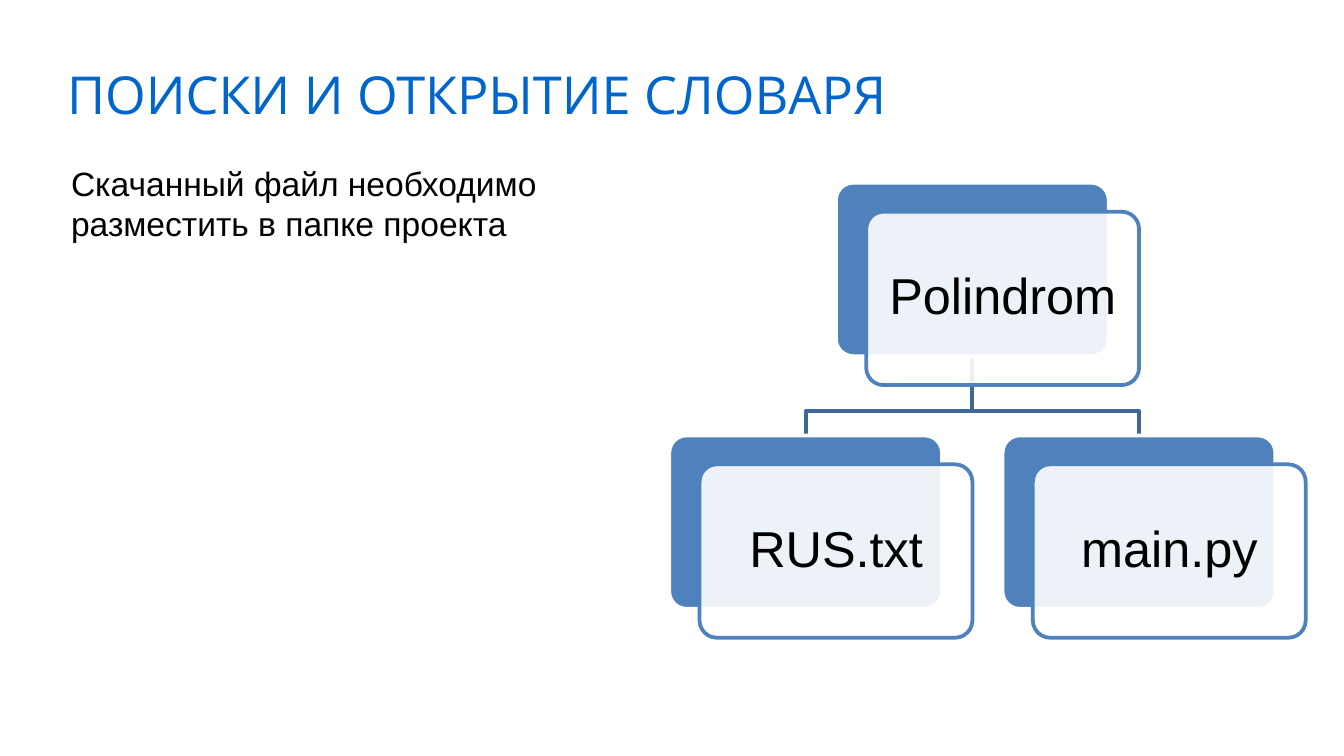
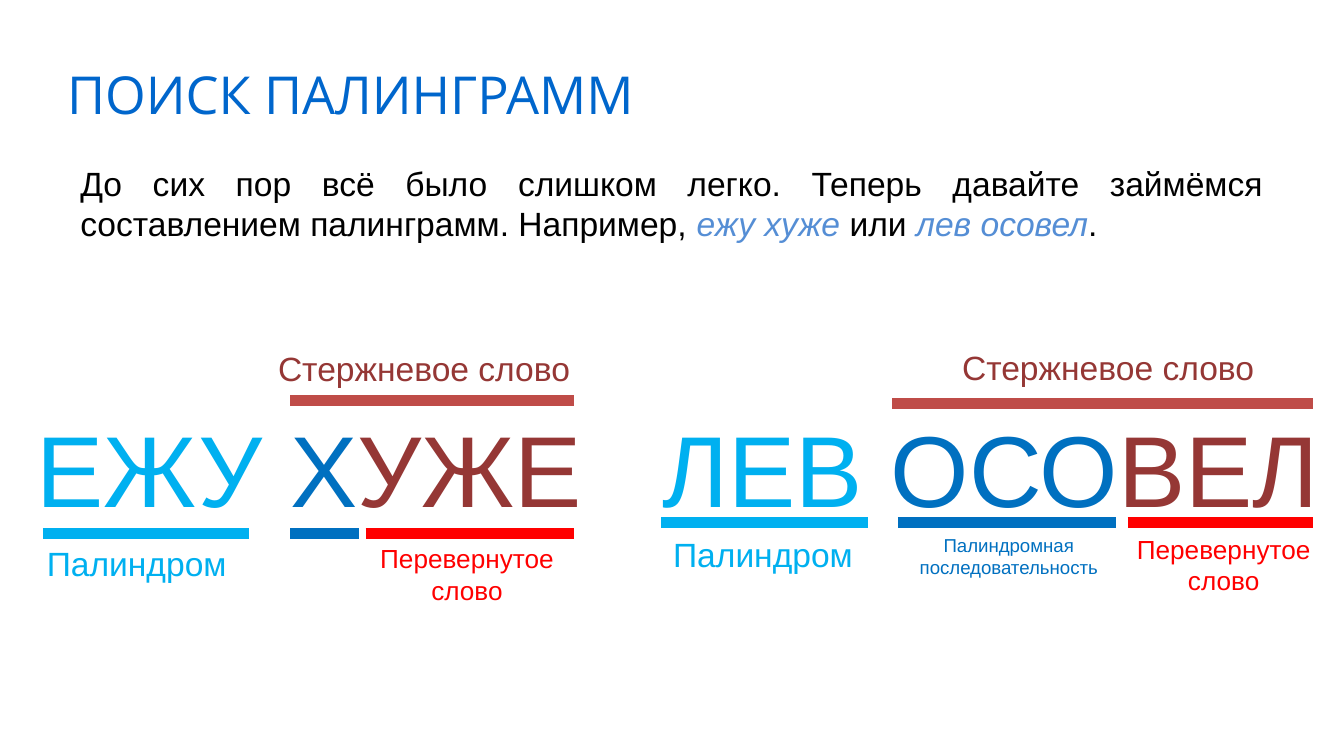
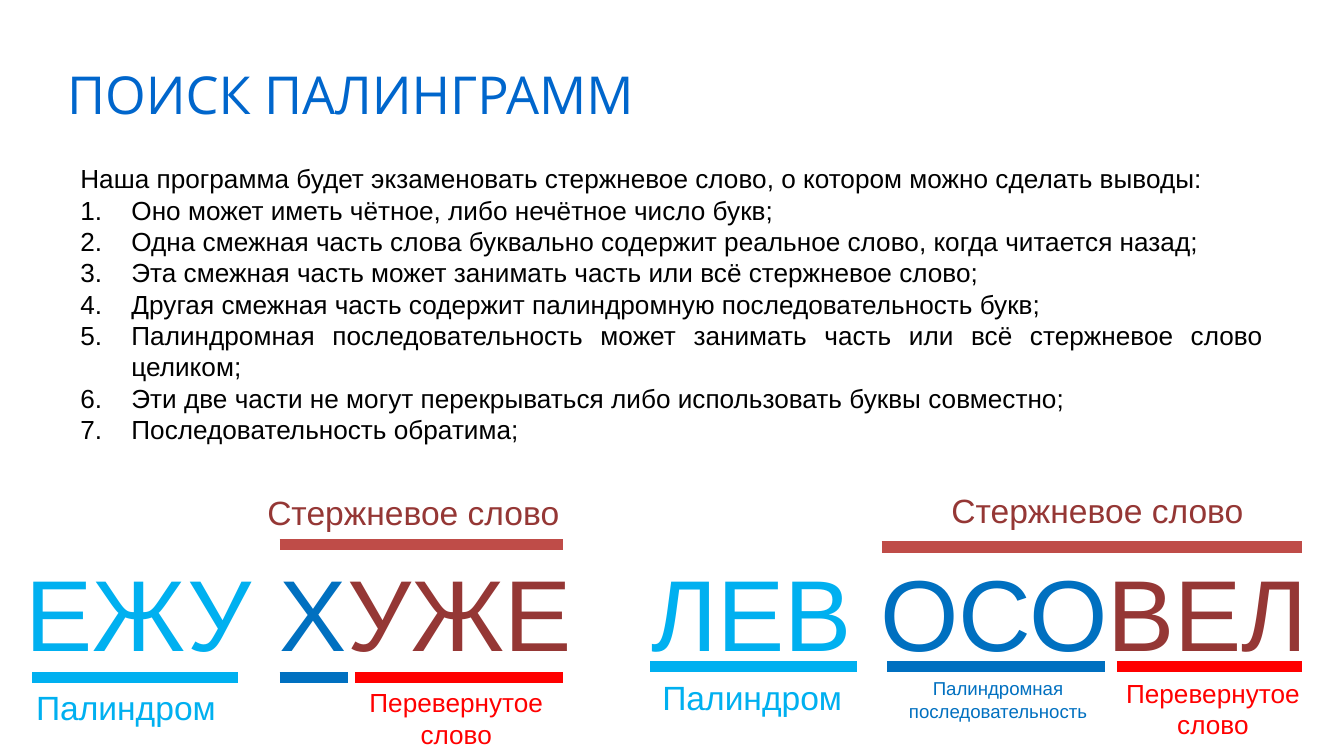
"""Build three slides on opening a dictionary and finding palingrams."""
from lxml.etree import SubElement as Sub
from pptx import Presentation
from pptx.dml.color import RGBColor as RGB
from pptx.enum.shapes import MSO_CONNECTOR as Link, MSO_SHAPE as Kind
from pptx.enum.text import MSO_ANCHOR as Anchor, MSO_AUTO_SIZE as Fit, PP_ALIGN as Align
from pptx.oxml.ns import qn
from pptx.util import Inches as In, Pt

BLACK = RGB(0x00, 0x00, 0x00)
WHITE = RGB(0xFF, 0xFF, 0xFF)
TITLE = RGB(0x00, 0x66, 0xCC)
BOX = RGB(0x4F, 0x81, 0xBD)
STEM = RGB(0x3F, 0x67, 0x97)
QUOTE = RGB(0x55, 0x8E, 0xD5)
SKY = RGB(0x00, 0xB0, 0xF0)
BLUE = RGB(0x00, 0x70, 0xC0)
WINE = RGB(0x95, 0x37, 0x35)
BRICK = RGB(0xBF, 0x4C, 0x48)
RED = RGB(0xFF, 0x00, 0x00)

WIDE = 10
HIGH = WIDE * 9 / 16
EDGE, TOP = 0.5, 1.16
FULL = WIDE - 2 * EDGE

HEADS = ["ПОИСКИ И ОТКРЫТИЕ СЛОВАРЯ", "ПОИСК ПАЛИНГРАММ", "ПОИСК ПАЛИНГРАММ"]
PLACE = "Скачанный файл необходимо разместить в папке проекта"
NODES = [("Polindrom", 0.5, 0), ("RUS.txt", 0, 1), ("main.py", 1, 1)]
INTRO = [
    ("До сих пор всё было слишком легко. Теперь давайте займёмся "
     "составлением палинграмм. Например, ", BLACK, False),
    ("ежу хуже ", QUOTE, True),
    ("или ", BLACK, False),
    ("лев осовел", QUOTE, True),
    (".", BLACK, False),
]
LEAD = "Наша программа будет экзаменовать стержневое слово, о котором можно сделать выводы:"
FACTS = [
    "Оно может иметь чётное, либо нечётное число букв;",
    "Одна смежная часть слова буквально содержит реальное слово, когда читается назад;",
    "Эта смежная часть может занимать часть или всё стержневое слово;",
    "Другая смежная часть содержит палиндромную последовательность букв;",
    "Палиндромная последовательность может занимать часть или всё стержневое слово целиком;",
    "Эти две части не могут перекрываться либо использовать буквы совместно;",
    "Последовательность обратима;",
]
CORE = ("Стержневое слово", WINE, 18, 2.49, 0.4, Align.LEFT)
PAL = ("Палиндром", SKY, 18, 1.61, 0.4, Align.LEFT)
BACK = ("Перевернутое слово", RED, 14, 1.61, 0.57, Align.CENTER)
CHAIN = ("Палиндромная последовательность", BLUE, 10, 1.61, 0.44, Align.CENTER)
WORDS = [
    dict(left=0, wide=5, parts=("ЕЖУ ", "Х", "УЖЕ"),
         bars=[(1.99, 4.1, 0, BRICK), (2.55, 4.1, 0.99, RED),
               (1.99, 2.5, 0.99, BLUE), (0.15, 1.68, 0.99, SKY)],
         tags=[(1.8, -0.44, CORE), (0.08, 1.01, PAL), (2.5, 1.01, BACK)]),
    dict(left=4.66, wide=5.17, parts=("ЛЕВ ", "ОСО", "ВЕЛ"),
         bars=[(8.22, 9.6, 0.91, RED), (6.51, 8.13, 0.91, BLUE),
               (4.75, 6.29, 0.91, SKY), (6.47, 9.6, 0.02, BRICK)],
         tags=[(6.89, -0.45, CORE), (4.74, 0.94, PAL),
               (8.13, 0.94, BACK), (6.53, 0.94, CHAIN)]),
]
SPOTS = [(0.17, 2.98), (0.09, 4.05)]

TREE = dict(left=4.98, top=1.36, col=2.48, row=1.88, wide=2.03, high=1.29, pad=0.04)


def put(para, text, size, ink, slant=False, face="Arial"):
    run = para.add_run()
    run.text = text
    run.font.name, run.font.size = face, Pt(size)
    run.font.color.rgb, run.font.italic = ink, slant


def area(slide, x, y, w, h, inset=None, align=Align.LEFT):
    frame = slide.shapes.add_textbox(In(x), In(y), In(w), In(h)).text_frame
    frame.word_wrap = True
    frame.paragraphs[0].alignment = align
    if inset is None:
        frame.auto_size = Fit.SHAPE_TO_FIT_TEXT
    else:
        frame.vertical_anchor = Anchor.MIDDLE
        frame.margin_left = frame.margin_right = In(inset)
        frame.margin_top = frame.margin_bottom = In(inset)
    return frame


def page(deck, head):
    slide = deck.slides.add_slide(deck.slide_layouts[6])
    frame = area(slide, EDGE, 0.23, FULL, 0.94, 0)
    put(frame.paragraphs[0], head, 28, TITLE, face="Open Sans")
    return slide


def bar(slide, x, end, y, ink):
    line = slide.shapes.add_connector(Link.STRAIGHT, In(x), In(y), In(end), In(y))
    line.line.color.rgb, line.line.width = ink, Pt(6)
    Sub(line._element.spPr, qn("a:effectLst"))


def card(slide, x, y, fill, edge):
    shape = slide.shapes.add_shape(
        Kind.ROUNDED_RECTANGLE, In(x), In(y), In(TREE["wide"]), In(TREE["high"]))
    shape.adjustments[0] = 0.1
    shape.shadow.inherit = False
    shape.fill.solid()
    shape.fill.fore_color.rgb = fill
    shape.line.color.rgb, shape.line.width = edge, Pt(2)
    return shape


def stem(slide, start, end):
    (x, y), (far, low) = start, end
    bend = low - 0.18
    form = slide.shapes.build_freeform(In(x), In(y))
    form.add_line_segments([(In(a), In(b)) for a, b in ((x, bend), (far, bend), end)], close=False)
    shape = form.convert_to_shape()
    shape.shadow.inherit = False
    shape.fill.background()
    shape.line.color.rgb, shape.line.width = STEM, Pt(2)


def tree(slide):
    spots = [(TREE["left"] + col * TREE["col"], TREE["top"] + row * TREE["row"])
             for _, col, row in NODES]
    wide, high, pad = TREE["wide"], TREE["high"], TREE["pad"]
    root = spots[0][0] + wide / 2, spots[0][1] + high
    for x, y in reversed(spots[1:]):
        stem(slide, root, (x + wide / 2, y))
    for (name, _, _), (x, y) in zip(NODES, spots):
        card(slide, x, y, BOX, WHITE)
        x, y = x + wide / 9, y + high / 6
        pane = card(slide, x, y, WHITE, BOX)
        tint = pane._element.spPr.find(qn("a:solidFill"))[0]
        Sub(tint, qn("a:alpha"), val="90000")
        frame = area(slide, x + pad, y + pad, wide - 2 * pad, high - 2 * pad,
                     0.11, Align.CENTER)
        frame.paragraphs[0].line_spacing = 0.9
        put(frame.paragraphs[0], name, 27, BLACK)


def chart(slide, left, top):
    for word in WORDS:
        para = area(slide, left + word["left"], top, word["wide"], 1.01).paragraphs[0]
        for part, ink in zip(word["parts"], (SKY, BLUE, WINE)):
            put(para, part, 54, ink)
        for x, end, y, ink in word["bars"]:
            bar(slide, left + x, left + end, top + y, ink)
        for x, y, (text, ink, size, w, h, align) in word["tags"]:
            frame = area(slide, left + x, top + y, w, h, align=align)
            put(frame.paragraphs[0], text, size, ink)


def count(para):
    props = para._p.get_or_add_pPr()
    props.set("marL", str(In(0.38)))
    props.set("indent", str(-In(0.38)))
    Sub(props, qn("a:buFont"), typeface="Arial")
    Sub(props, qn("a:buAutoNum"), type="arabicPeriod")


deck = Presentation()
deck.slide_width, deck.slide_height = In(WIDE), In(HIGH)
first, second, third = [page(deck, head) for head in HEADS]

put(area(first, 0.43, TOP, 4.41, 0.71).paragraphs[0], PLACE, 18, BLACK)
tree(first)

para = area(second, EDGE, TOP, FULL, 0.71, align=Align.JUSTIFY).paragraphs[0]
for text, ink, slant in INTRO:
    put(para, text, 18, ink, slant)

frame = area(third, EDGE, TOP, FULL, 2.22, align=Align.JUSTIFY)
put(frame.paragraphs[0], LEAD, 14, BLACK)
for fact in FACTS:
    para = frame.add_paragraph()
    para.alignment = Align.JUSTIFY
    count(para)
    put(para, fact, 14, BLACK)

for slide, spot in zip((second, third), SPOTS):
    chart(slide, *spot)

deck.save("out.pptx")
